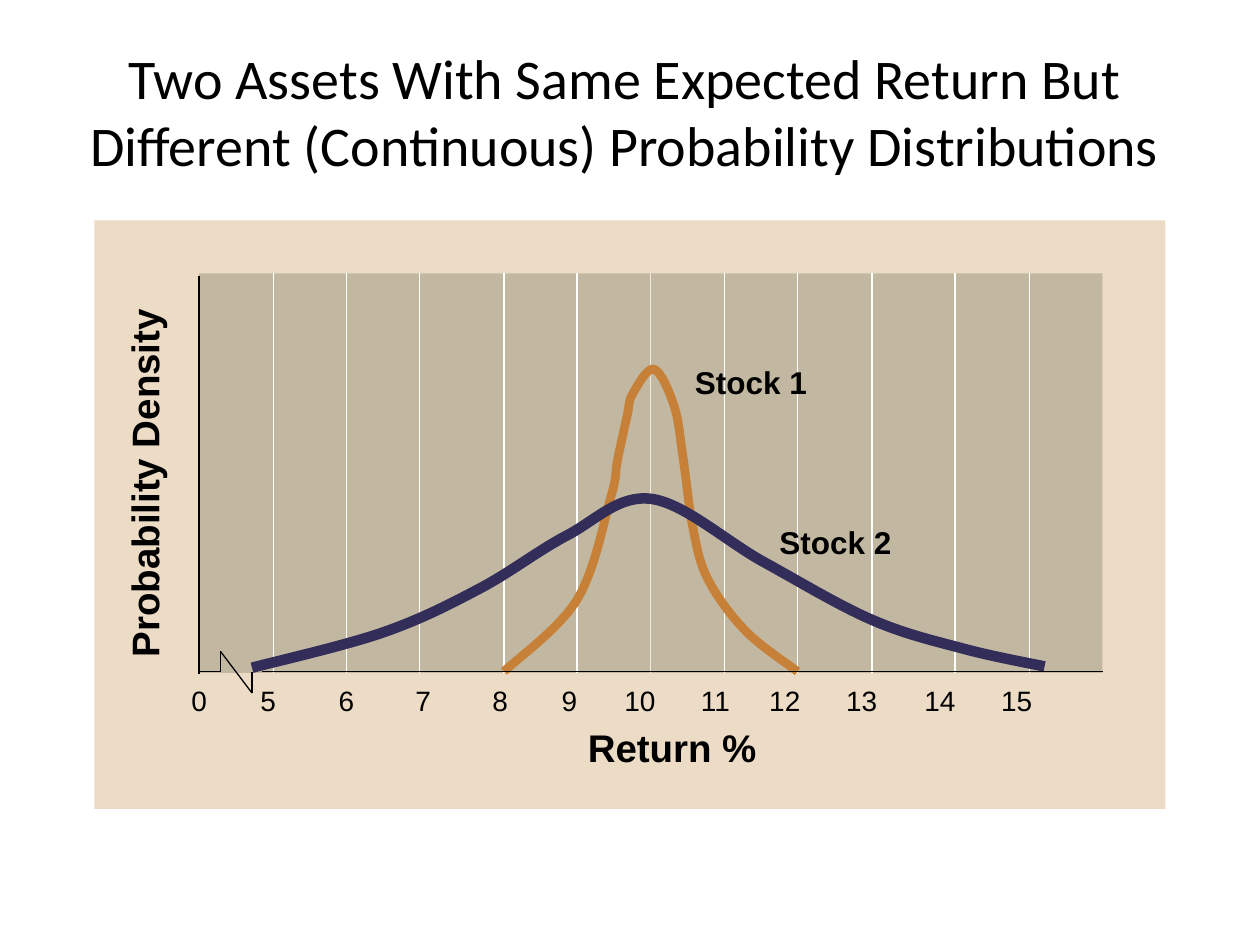
"""Build a slide comparing the return distributions of two stocks."""
import itertools
from dataclasses import dataclass

import lxml.etree
import pptx
import pptx.dml.color
import pptx.enum.shapes
import pptx.enum.text
import pptx.oxml.ns
import pptx.util

Inches = pptx.util.Inches
RGB = pptx.dml.color.RGBColor.from_string
qn = pptx.oxml.ns.qn


@dataclass(frozen=True)
class Theme:
    panel: str = "ECDBC5"
    plot: str = "C2B8A1"
    grid: str = "FFFFFF"
    mean_grid: str = "EEECE1"
    ink: str = "000000"
    stock_1: str = "C68037"
    stock_2: str = "322D59"
    head_font: str = "Calibri"
    body_font: str = "Arial"
    title: int = 32
    axis_title: int = 22
    label: int = 18
    tick: int = 16
    thin: float = 0.75


T = Theme()


def add_line(x1, y1, x2, y2, color):
    c = s.shapes.add_connector(pptx.enum.shapes.MSO_CONNECTOR.STRAIGHT,
                               Inches(x1), Inches(y1), Inches(x2), Inches(y2))
    c.line.color.rgb = RGB(color)
    c.line.width = pptx.util.Pt(T.thin)
    lxml.etree.SubElement(c._element.spPr, qn("a:effectLst"))
    return c


def write_text(sp, text, size, font=T.body_font, bold=False, align="CENTER"):
    sp.text_frame.word_wrap = True
    p = sp.text_frame.paragraphs[0]
    p.alignment = pptx.enum.text.PP_ALIGN[align]
    r = p.add_run()
    r.text = text
    r.font.size = pptx.util.Pt(size)
    r.font.name = font
    r.font.bold = bold
    r.font.color.rgb = RGB(T.ink)
    return p


prs = pptx.Presentation()
prs.slide_width, prs.slide_height = Inches(10), Inches(7.5)
s = prs.slides.add_slide(prs.slide_layouts[5])

title = s.shapes.title
title.left, title.top, title.width, title.height = map(Inches, (0.42, 0.42, 9.08, 0.92))
title.text_frame.vertical_anchor = pptx.enum.text.MSO_ANCHOR.MIDDLE
write_text(title, "Two Assets With Same Expected Return But Different (Continuous) "
                  "Probability Distributions", T.title, T.head_font)

plot_left, plot_top, plot_width, plot_height = 1.58, 2.17, 7.17, 3.17
plot_right, plot_bottom = plot_left + plot_width, plot_top + plot_height
axis_y = 5.33

areas = {
    T.panel: (0.75, 1.75, 8.5, 4.67),
    T.plot: (plot_left, plot_top, plot_width, plot_height),
}
for color, box in areas.items():
    area = s.shapes.add_shape(pptx.enum.shapes.MSO_SHAPE.RECTANGLE, *map(Inches, box))
    area.shadow.inherit = False
    area.fill.solid()
    area.fill.fore_color.rgb = RGB(color)
    area.line.fill.background()
plot = area

add_line(plot_left, 2.19, plot_left, 5.35, T.ink)

mean_return = 10
first_return = 5
grid_xs = [2.17, 2.75, 3.33, 4, 4.58, 5.17, 5.75, 6.33, 6.92, 7.58, 8.17]
for percent, x in enumerate(grid_xs, first_return):
    color = T.mean_grid if percent == mean_return else T.grid
    grid_line = add_line(x, plot_top, x, plot_bottom, color)
    if percent == mean_return:
        grid_line.begin_connect(plot, 0)
        grid_line.end_connect(plot, 2)

labels = [
    ("Stock 1", (5, 2.83, 1.92, 0.4), T.label, 0),
    ("Stock 2", (5.67, 4.1, 1.92, 0.4), T.label, 0),
    ("Return %", (3.92, 5.7, 2.83, 0.47), T.axis_title, 0),
    ("Probability Density", (-0.69, 3.6, 3.67, 0.47), T.axis_title, 270),
]
for text, box, size, angle in labels:
    sp = s.shapes.add_textbox(*map(Inches, box))
    sp.rotation = angle
    sp.text_frame.auto_size = pptx.enum.text.MSO_AUTO_SIZE.SHAPE_TO_FIT_TEXT
    write_text(sp, text, size, bold=True)

ticks = s.shapes.add_textbox(Inches(1.42), Inches(5.38), Inches(7.58), Inches(0.37))
ticks.text_frame.auto_size = pptx.enum.text.MSO_AUTO_SIZE.SHAPE_TO_FIT_TEXT
tick_tabs = [0.61, 1.23, 1.84, 2.45, 3, 3.56, 4.16, 4.71, 5.32, 5.94, 6.55]
last_return = first_return + len(tick_tabs) - 1
tick_text = "\t".join(map(str, [0, *range(first_return, last_return + 1)]))
p = write_text(ticks, tick_text, T.tick, align="LEFT")
tabs = lxml.etree.SubElement(p._p.get_or_add_pPr(), qn("a:tabLst"))
for x in tick_tabs:
    lxml.etree.SubElement(tabs, qn("a:tab"), pos=str(Inches(x)), algn="ctr")

break_left, break_right = 1.75, 2
axis_break = [(plot_left, axis_y), (break_left, axis_y), (break_left, 5.17),
              (break_right, 5.5), (break_right, axis_y)]
for start, end in itertools.pairwise(axis_break):
    add_line(*start, *end, T.ink)

stock_1_knots = [(4, 5.33), (4.58, 4.76), (4.85, 3.94), (4.9, 3.66), (4.98, 3.29),
                 (5.02, 3.13), (5.19, 2.93), (5.35, 3.22), (5.42, 3.62), (5.5, 4.19),
                 (5.62, 4.6), (5.92, 5.01), (6.33, 5.33)]
stock_2_knots = [(2, 5.3), (3.04, 5.02), (3.81, 4.67), (4.5, 4.25), (5.17, 3.96),
                 (6.06, 4.46), (6.92, 4.92), (7.65, 5.15), (8.29, 5.29)]
for knots, color, width in [(stock_1_knots, T.stock_1, 5), (stock_2_knots, T.stock_2, 6)]:
    start, *rest = [(Inches(x), Inches(y)) for x, y in knots]
    fb = s.shapes.build_freeform(*start)
    fb.add_line_segments(rest, close=False)
    curve = fb.convert_to_shape()
    curve.shadow.inherit = False
    curve.fill.background()
    curve.line.color.rgb = RGB(color)
    curve.line.width = pptx.util.Pt(width)

    # Catmull-Rom rule: each tangent is parallel to the line between its neighbours.
    pts = [(int(pt.get("x")), int(pt.get("y"))) for pt in curve._element.iter(qn("a:pt"))]
    padded = [pts[0], *pts, pts[-1]]
    for i, segment in enumerate(list(curve._element.iter(qn("a:lnTo")))):
        before, here, there, after = padded[i:i + 4]
        leave = [h + (t - b) / 6 for b, h, t in zip(before, here, there)]
        arrive = [t - (a - h) / 6 for h, t, a in zip(here, there, after)]
        segment.tag = qn("a:cubicBezTo")
        for position, (x, y) in enumerate((leave, arrive)):
            handle = lxml.etree.Element(qn("a:pt"), x=str(round(x)), y=str(round(y)))
            segment.insert(position, handle)

add_line(2.08, axis_y, plot_right, axis_y, T.ink)

prs.save("out.pptx")
